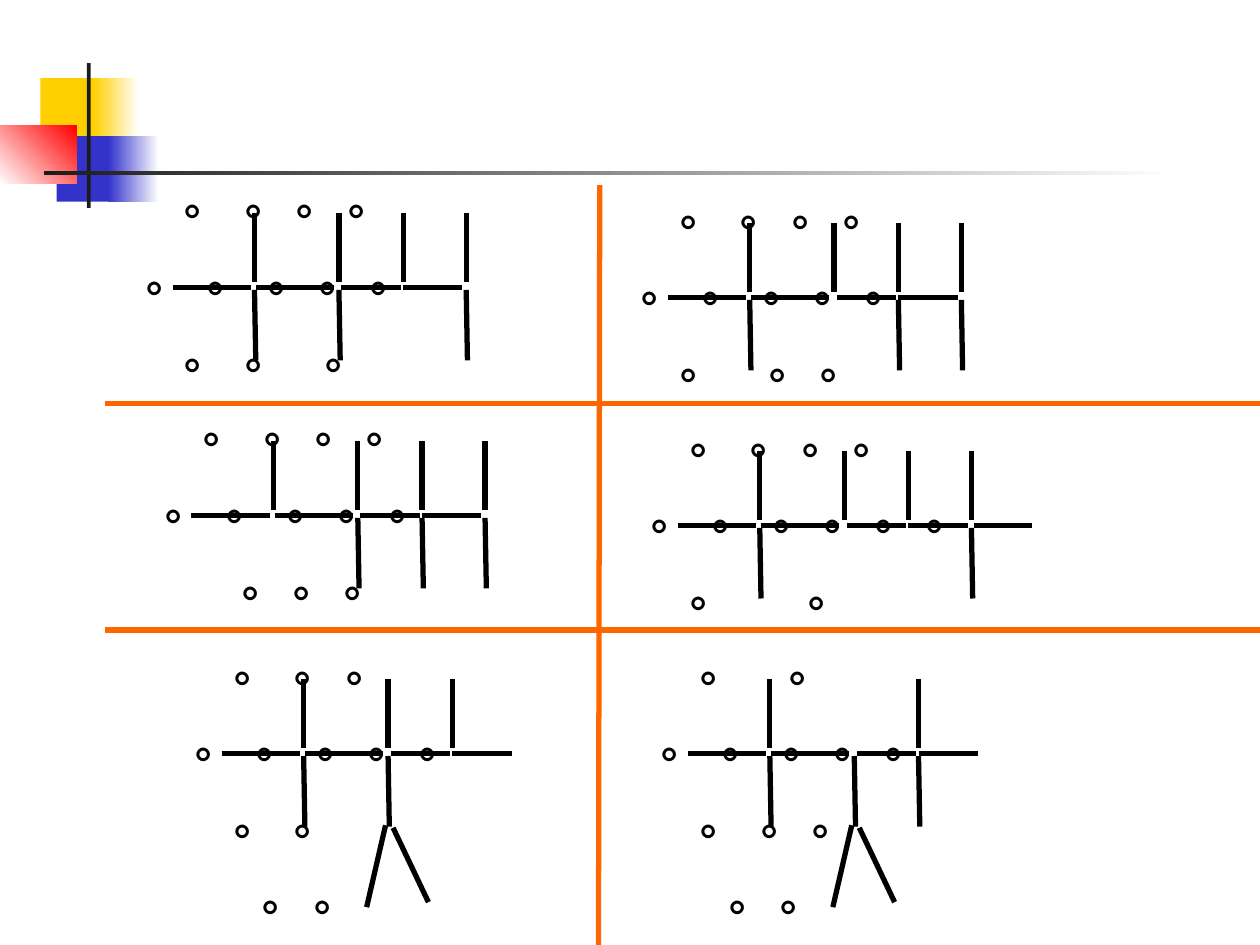
from itertools import accumulate

from lxml.etree import SubElement
from pptx import Presentation
from pptx.dml.color import RGBColor
from pptx.enum.shapes import MSO_CONNECTOR as Connector, MSO_SHAPE as Shape
from pptx.oxml.ns import qn
from pptx.util import Inches, Pt

BLACK = RGBColor(0x00, 0x00, 0x00)
WHITE = RGBColor(0xFF, 0xFF, 0xFF)
ORANGE = RGBColor(0xFF, 0x66, 0x00)
YELLOW = RGBColor(0xFF, 0xCF, 0x01)
BLUE = RGBColor(0x33, 0x33, 0xCC)
RED = RGBColor(0xFF, 0x00, 0x00)
CHARCOAL = RGBColor(0x1C, 0x1C, 0x1C)

FONT = "Noto Sans CJK SC"
MARK = "。"
MARK_WIDTH = 0.33
GAP_WIDTH = 0.076

SPINE_Y = 0.97
NODES = (1.03, 1.7, 2.21, 2.71)
SPINE = ((0.38, 1), (1.04, 1.66), (1.72, 2.19), (2.21, 2.68), (2.73, 3.19))
FORK = ((1.74, 1.56, 2.02, 2.15), (1.68, 1.54, 1.53, 2.19))

MIDDLE = (1, 2, 2, 1, 1)
DIAGRAMS = (
    {"at": (0.99, 1.31), "rows": ((5, 2, 1, 1), MIDDLE, (5, 2, 4)),
     "up": (0, 1, 2, 3), "down": (0, 1, 3)},
    {"at": (4.92, 1.39), "rows": ((5, 2, 1, 1), MIDDLE, (5, 5, 1)),
     "up": (0, 1, 2, 3), "down": (0, 2, 3)},
    {"at": (1.14, 3.12), "rows": ((5, 2, 1, 1), MIDDLE, (9, 1, 1)),
     "up": (0, 1, 2, 3), "down": (1, 2, 3)},
    {"at": (5, 3.2), "rows": ((5, 2, 1, 1), MIDDLE + (1,), (5, 8)),
     "up": (0, 1, 2, 3), "down": (0, 3), "segments": 5},
    {"at": (1.38, 5.01), "rows": ((5, 2, 1), MIDDLE, (5, 2), (8, 1)),
     "up": (0, 1, 2), "down": (0, 1), "fork": FORK},
    {"at": (5.08, 5.01), "rows": ((5, 5), MIDDLE, (5, 2, 1), (8, 1)),
     "up": (0, 2), "down": (0, 1, 2), "fork": FORK},
)


def add_line(page, x1, y1, x2, y2, color=BLACK):
    """Draw one straight 3 pt line."""
    line = page.shapes.add_connector(
        Connector.STRAIGHT, Inches(x1), Inches(y1), Inches(x2), Inches(y2))
    line.line.color.rgb = color
    line.line.width = Pt(3)
    SubElement(line.element.spPr, qn("a:effectLst"))


def add_block(page, box, start, end=None, angle=0):
    """Draw a borderless rectangle, plain or fading from start to end."""
    block = page.shapes.add_shape(Shape.RECTANGLE, *map(Inches, box))
    block.shadow.inherit = False
    block.line.fill.background()
    if end is None:
        block.fill.solid()
        block.fill.fore_color.rgb = start
        return
    block.fill.gradient()
    block.fill.gradient_angle = angle
    for stop, color in zip(block.fill.gradient_stops, (start, end)):
        stop.color.rgb = color
    for stop, position in zip(block.fill.gradient_stops, (0, 1)):
        stop.position = position


def add_ornament(page):
    """Draw the coloured squares and the bars at the top of the slide."""
    add_block(page, (0.32, 0.62, 0.48, 0.52), YELLOW)
    add_block(page, (0.74, 0.62, 0.36, 0.52), YELLOW, WHITE)
    add_block(page, (0.45, 1.08, 0.46, 0.52), BLUE)
    add_block(page, (0.86, 1.08, 0.4, 0.52), BLUE, WHITE)
    add_block(page, (0, 1, 0.61, 0.46), WHITE, RED, 45)
    add_block(page, (0.69, 0.5, 0.03, 1.15), CHARCOAL)
    add_block(page, (0.35, 1.36, 9, 0.03), CHARCOAL, WHITE)


def add_dividers(page):
    """Split the slide into two columns and three rows."""
    add_line(page, 4.76, 1.47, 4.75, 7.5, ORANGE)
    for y in (3.2, 5):
        add_line(page, 0.83, y, 10, y, ORANGE)


def add_mark_row(para, gaps):
    """Set one row of marks on tab stops worked out from the gaps."""
    para.space_before = Pt(15)
    para.line_spacing = Pt(28.8)
    tabs = SubElement(para._p.get_or_add_pPr(), qn("a:tabLst"))
    for index, units in enumerate(accumulate(gaps)):
        stop = Inches(units * GAP_WIDTH + index * MARK_WIDTH)
        SubElement(tabs, qn("a:tab"), pos=str(stop), algn="l")
    para.add_run().text = f"\t{MARK}" * len(gaps)
    font = para.font
    font.size = Pt(24)
    font.bold = True
    font.color.rgb = BLACK
    font.name = FONT
    SubElement(font._element, qn("a:ea"), typeface=FONT)


def add_diagram(page, at, rows, up, down, segments=4, fork=()):
    """Draw rows of marks with a spine, its branches and a fork."""
    left, top = at
    height = 1.72 if len(rows) == 3 else 2.33
    box = page.shapes.add_textbox(
        Inches(left), Inches(top), Inches(3.67), Inches(height))
    frame = box.text_frame
    frame.word_wrap = True
    frame.margin_top = Inches(0.07)
    for index, gaps in enumerate(rows):
        para = frame.add_paragraph() if index else frame.paragraphs[0]
        add_mark_row(para, gaps)

    lines = [(x1, SPINE_Y, x2, SPINE_Y) for x1, x2 in SPINE[:segments]]
    lines += [(NODES[node], 0.38, NODES[node], 0.93) for node in up]
    lines += [(NODES[node], 0.99, NODES[node] + 0.01, 1.55) for node in down]
    for x1, y1, x2, y2 in lines + list(fork):
        add_line(page, left + x1, top + y1, left + x2, top + y2)


def main():
    """Build the slide and save it."""
    deck = Presentation()
    deck.slide_width = Inches(10)
    deck.slide_height = Inches(7.5)
    page = deck.slides.add_slide(deck.slide_layouts[6])
    add_ornament(page)
    add_dividers(page)
    for diagram in DIAGRAMS:
        add_diagram(page, **diagram)
    deck.save("out.pptx")


if __name__ == "__main__":
    main()
